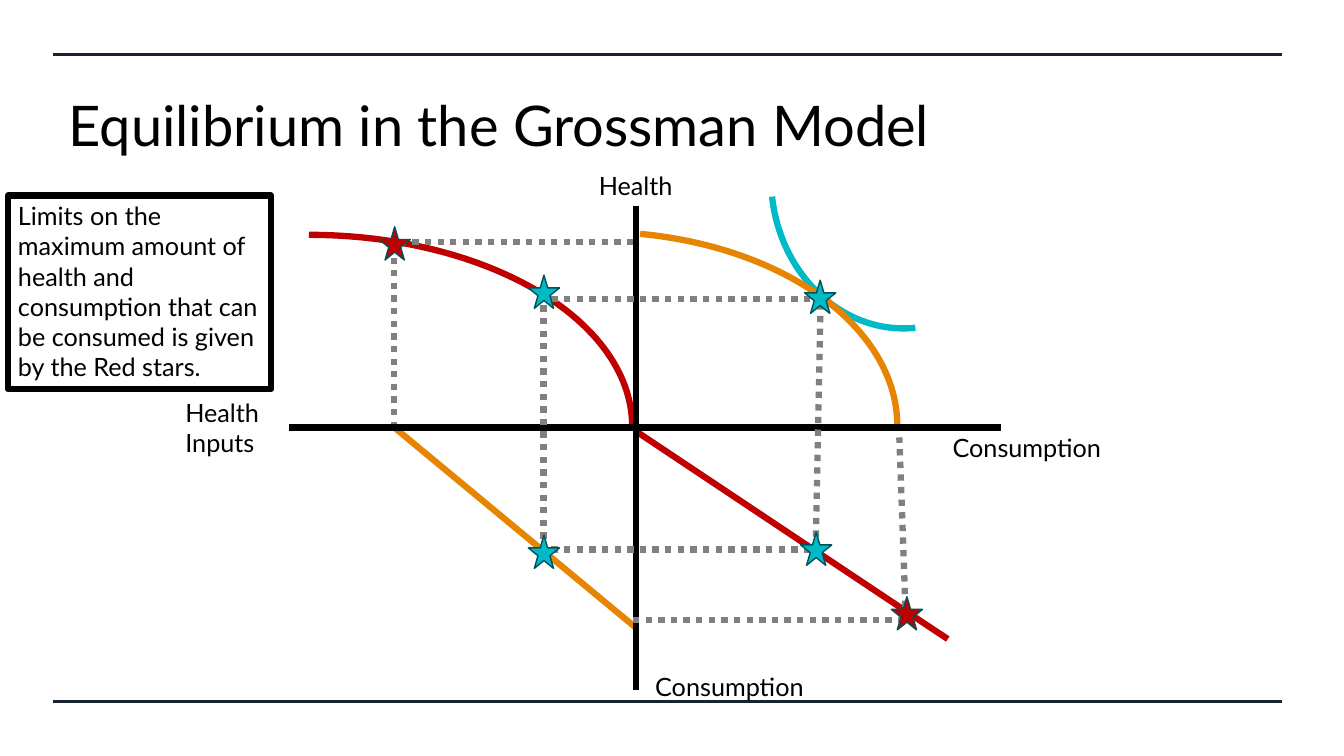
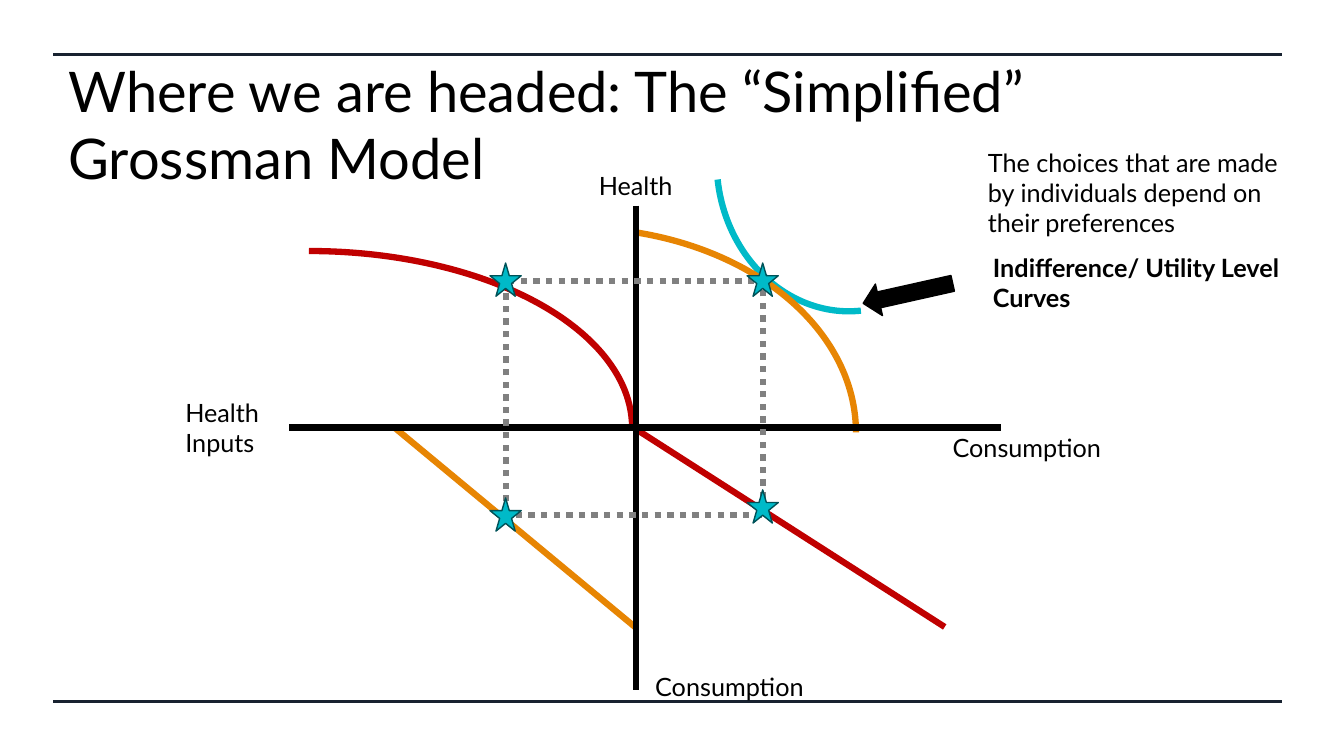
from lxml import etree
from pptx import Presentation
from pptx.dml.color import RGBColor
from pptx.enum import dml, shapes, text
from pptx.oxml import ns
from pptx.util import Inches, Pt

BLACK = RGBColor(0x00, 0x00, 0x00)
NAVY = RGBColor(0x18, 0x22, 0x30)
TEAL = RGBColor(0x00, 0xBA, 0xC8)
DARK_TEAL = RGBColor(0x00, 0x52, 0x58)
RED = RGBColor(0xC0, 0x00, 0x00)
ORANGE = RGBColor(0xE7, 0x85, 0x03)
GRAY = RGBColor(0x80, 0x80, 0x80)

TITLE_FONT = {"name": "Lato", "size": Pt(40), "bold": False}
BODY_FONT = {"name": "Lato", "size": Pt(18), "bold": False}
BOLD_FONT = {**BODY_FONT, "bold": True}
THICK = 4.5
ORIGIN_X, ORIGIN_Y = 6.31, 4.24
STAR_WIDTH, STAR_HEIGHT = 0.31, 0.33


class GrossmanDeck:
    """Hold the shared style and draw elements on the current slide."""

    def __init__(self):
        self.presentation = Presentation()
        self.presentation.slide_width = Inches(13.33)
        self.presentation.slide_height = Inches(7.5)
        self.slide = None

    def new_slide(self, title):
        self.slide = self.presentation.slides.add_slide(self.presentation.slide_layouts[5])
        for y in (0.54, 6.96):
            self.line((0.53, y), (12.72, y), NAVY, 2.25)
        shape = self.slide.shapes.title
        box = {"left": 0.58, "top": 0.62, "width": 11.63, "height": 1.22}
        for name, value in box.items():
            setattr(shape, name, Inches(value))
        self.set_text(shape, title, TITLE_FONT, auto_size=text.MSO_AUTO_SIZE.NONE,
                      vertical_anchor=text.MSO_ANCHOR.MIDDLE)

    def set_text(self, shape, words, font, **frame_format):
        for name, value in {"word_wrap": True, **frame_format}.items():
            setattr(shape.text_frame, name, value)
        paragraph = shape.text_frame.paragraphs[0]
        paragraph.text = words
        paragraph.alignment = text.PP_ALIGN.LEFT
        for run in paragraph.runs:
            for name, value in font.items():
                setattr(run.font, name, value)
            run.font.color.rgb = BLACK

    def text_box(self, words, box, font=BODY_FONT, wrap=True):
        shape = self.slide.shapes.add_textbox(*map(Inches, box))
        self.set_text(shape, words, font, word_wrap=wrap,
                      auto_size=text.MSO_AUTO_SIZE.SHAPE_TO_FIT_TEXT)

    def shape(self, kind, box, line, width=THICK, fill=None, rotation=0):
        shape = self.slide.shapes.add_shape(kind, *map(Inches, box))
        shape.shadow.inherit = False
        shape.rotation = rotation
        if fill is None:
            shape.fill.background()
        else:
            shape.fill.solid()
            shape.fill.fore_color.rgb = fill
        shape.line.color.rgb = line
        shape.line.width = Pt(width)
        return shape

    def line(self, start, end, color, width=THICK, dash=None):
        connector = self.slide.shapes.add_connector(
            shapes.MSO_CONNECTOR.STRAIGHT, *map(Inches, (*start, *end)))
        connector.line.color.rgb = color
        connector.line.width = Pt(width)
        if dash is not None:
            connector.line.dash_style = dash
        etree.SubElement(connector.element.spPr, ns.qn("a:effectLst"))

    def arc(self, box, color, rotation=0, start_angle=None):
        arc = self.shape(shapes.MSO_SHAPE.ARC, box, color, rotation=rotation)
        if start_angle is not None:
            arc.adjustments[0] = start_angle

    def guides(self, *segments):
        for start, end in segments:
            self.line(start, end, GRAY, dash=dml.MSO_LINE.ROUND_DOT)

    def stars(self, color, *corners):
        for corner in corners:
            self.shape(shapes.MSO_SHAPE.STAR_5_POINT, (*corner, STAR_WIDTH, STAR_HEIGHT),
                       DARK_TEAL, 1, color)

    def callout(self, words, box):
        shape = self.shape(shapes.MSO_SHAPE.RECTANGLE, box, BLACK)
        self.set_text(shape, words, BODY_FONT, vertical_anchor=text.MSO_ANCHOR.TOP,
                      auto_size=text.MSO_AUTO_SIZE.SHAPE_TO_FIT_TEXT)

    def quadrants(self, indifference, budget, frontier, frontier_angle, production):
        self.arc((*indifference, 2.55, 2.89), TEAL, rotation=173.9)
        self.line(*budget, RED)
        self.line((3.91, ORIGIN_Y), (ORIGIN_X, 6.23), ORANGE)
        self.arc(frontier, ORANGE, start_angle=frontier_angle)
        self.arc(production, RED)
        self.line((ORIGIN_X, 2.04), (ORIGIN_X, 6.85), BLACK)
        self.line((2.87, ORIGIN_Y), (9.93, ORIGIN_Y), BLACK)
        for words, box in (
            ("Consumption", (9.35, 4.24, 1.7, 0.4)),
            ("Health", (5.84, 1.64, 0.95, 0.4)),
            ("Health\nInputs", (1.74, 3.89, 0.95, 0.71)),
            ("Consumption", (6.4, 6.61, 1.7, 0.4)),
        ):
            self.text_box(words, box, wrap=False)


def equilibrium_slide(deck):
    deck.new_slide("Equilibrium in the Grossman Model")
    deck.quadrants(
        indifference=(7.65, 0.37),
        budget=((6.31, 4.28), (9.4, 6.34)),
        frontier=(2.94, 2.3, 5.96, 3.85),
        frontier_angle=169.62,
        production=(-0.14, 2.33, 6.41, 3.8),
    )
    deck.guides(
        ((5.47, 5.45), (8.04, 5.45)),
        ((8.09, 5.45), (8.14, 2.97)),
        ((5.39, 5.47), (5.39, 2.97)),
        ((5.47, 2.97), (8.13, 2.97)),
    )
    deck.stars(TEAL, (7.98, 2.78), (5.24, 2.73), (5.24, 5.31), (7.94, 5.28))
    deck.callout("Limits on the maximum amount of health and consumption that can "
                 "be consumed is given by the Red stars.", (0.08, 1.94, 2.61, 1.92))
    deck.guides(
        ((3.91, 2.43), (3.91, 4.21)),
        ((8.97, 6.15), (6.28, 6.15)),
        ((8.98, 6.02), (8.92, 4.34)),
        ((6.28, 2.4), (3.95, 2.4)),
    )
    deck.stars(RED, (3.76, 2.25), (8.84, 5.92))


def preferences_slide(deck):
    deck.new_slide("Where we are headed: The “Simplified” Grossman Model")
    deck.quadrants(
        indifference=(7.11, 0.2),
        budget=((6.28, 4.24), (9.37, 6.22)),
        frontier=(2.95, 2.26, 5.54, 4.06),
        frontier_angle=171.92,
        production=(-0.14, 2.49, 6.41, 3.51),
    )
    deck.guides(
        ((4.99, 5.11), (7.57, 5.11)),
        ((7.57, 5.07), (7.57, 2.86)),
        ((5.02, 5.1), (5.02, 2.89)),
        ((5.04, 2.79), (7.52, 2.79)),
    )
    deck.stars(TEAL, (7.41, 2.61), (4.86, 2.61), (4.86, 4.94), (7.41, 4.86))
    deck.text_box("The choices that are made by individuals depend on their preferences",
                  (9.7, 1.41, 3.39, 1.01))
    deck.text_box("Indifference/ Utility Level Curves", (9.75, 2.45, 3.39, 0.71), BOLD_FONT)
    deck.shape(shapes.MSO_SHAPE.RIGHT_ARROW, (8.55, 2.75, 0.91, 0.32), BLACK, 1, BLACK,
               rotation=167.4)


def main():
    deck = GrossmanDeck()
    equilibrium_slide(deck)
    preferences_slide(deck)
    deck.presentation.save("out.pptx")


if __name__ == "__main__":
    main()
